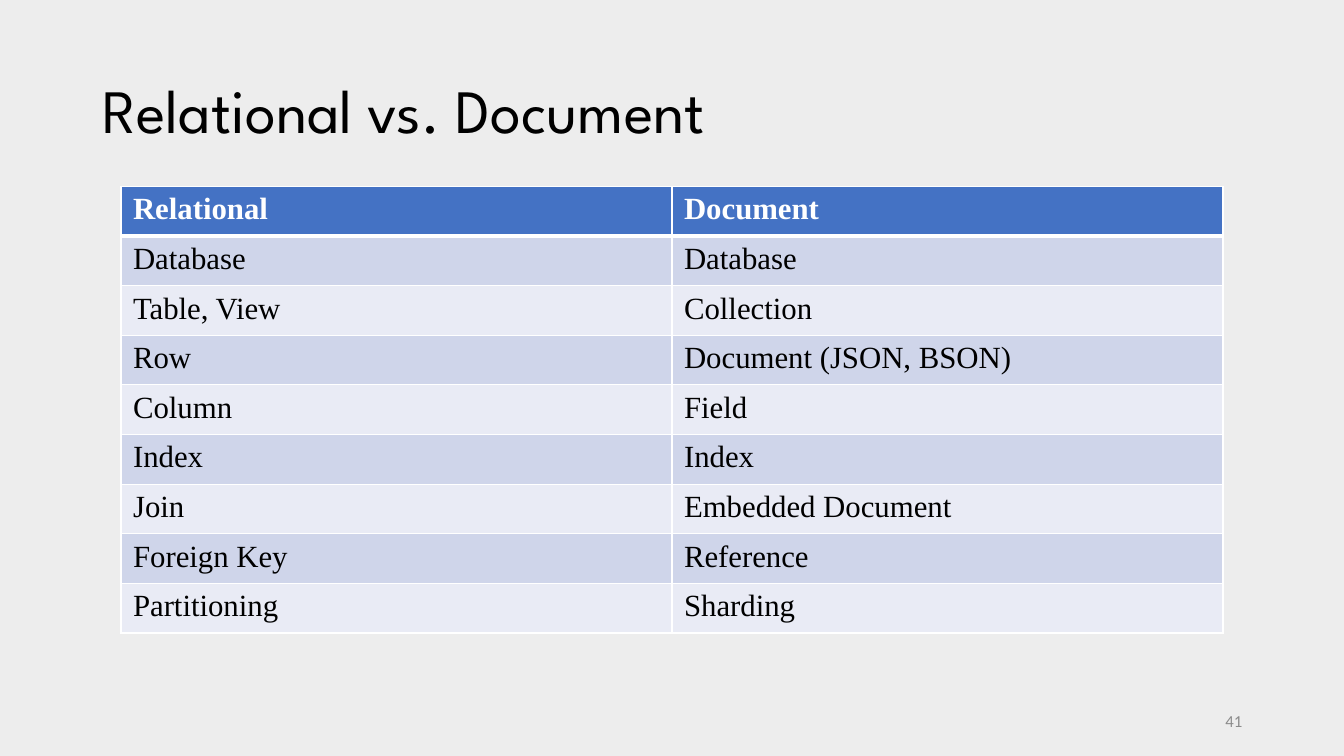
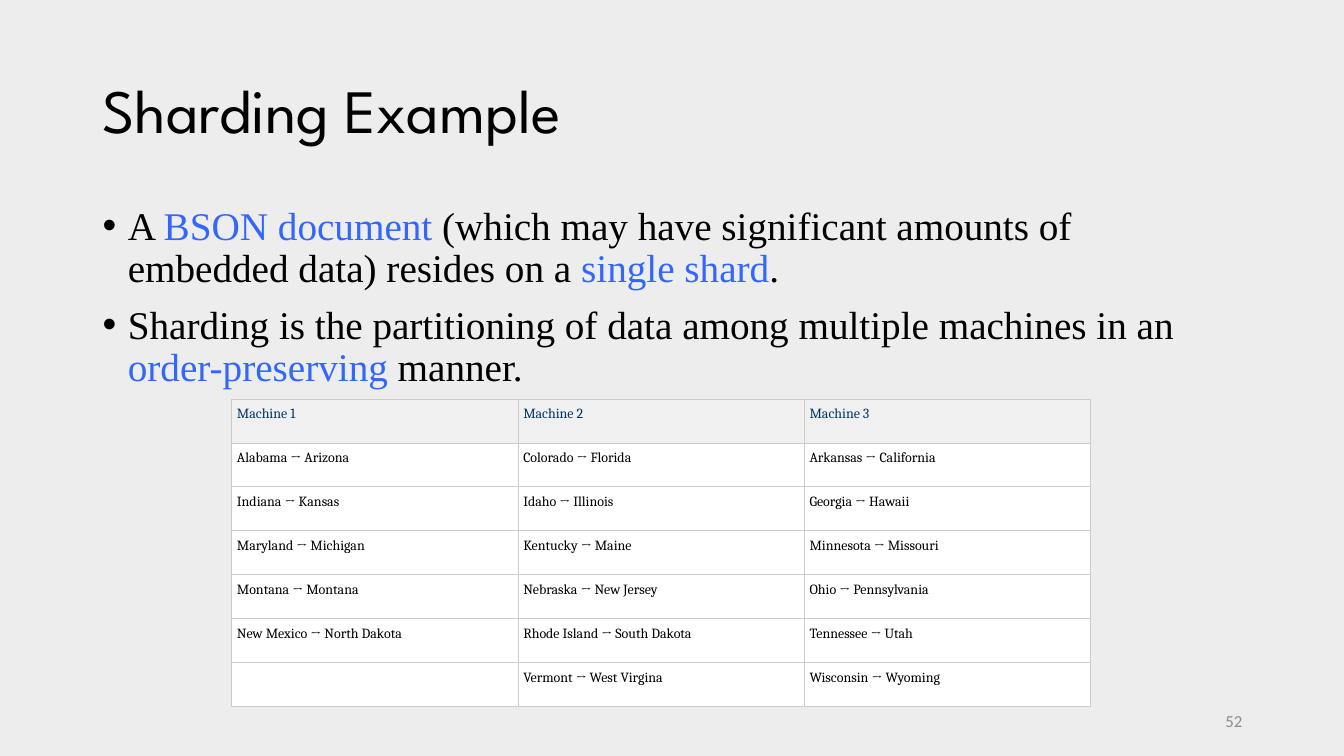
"""Builds two slides that compare data models and show sharding."""
from lxml import etree
from pptx import Presentation
from pptx.dml.color import RGBColor
from pptx.enum.text import MSO_ANCHOR, PP_ALIGN
from pptx.oxml.ns import qn
from pptx.util import Inches, Pt

MIDDLE = MSO_ANCHOR.MIDDLE
TOP = MSO_ANCHOR.TOP
RIGHT = PP_ALIGN.RIGHT

TITLE_FONT = "League Spartan"
BODY_FONT = "Times New Roman"
NUMBER_FONT = "Calibri"
SHARD_FONT = "Cambria"

BACKGROUND = "EDEDED"
BLACK = "000000"
WHITE = "FFFFFF"
GREY = "8C8C8C"
HIGHLIGHT = "3366FF"

MODEL_STYLE = {
    "font": BODY_FONT, "size": 22, "bold_header": True, "line_spacing": None,
    "insets": (0.12, 0.06), "header_text": WHITE, "header_fill": "4472C4",
    "body_fills": ("CFD5EA", "E9EBF5"),
    "border": WHITE, "border_width": 1, "header_rule": 3,
}
SHARD_STYLE = {
    "font": SHARD_FONT, "size": 10, "bold_header": False, "line_spacing": Pt(13),
    "insets": (0.05, 0.05), "header_text": "003366", "header_fill": "F0F0F0",
    "body_fills": (WHITE,),
    "border": "CCCCCC", "border_width": 0.75, "header_rule": 0.75,
}

MODEL_ROWS = [
    ("Relational", "Document"),
    ("Database", "Database"),
    ("Table, View", "Collection"),
    ("Row", "Document (JSON, BSON)"),
    ("Column", "Field"),
    ("Index", "Index"),
    ("Join", "Embedded Document"),
    ("Foreign Key", "Reference"),
    ("Partitioning", "Sharding"),
]
SHARD_ROWS = [
    ("Machine 1", "Machine 2", "Machine 3"),
    ("Alabama → Arizona", "Colorado → Florida", "Arkansas → California"),
    ("Indiana → Kansas", "Idaho → Illinois", "Georgia → Hawaii"),
    ("Maryland → Michigan", "Kentucky → Maine", "Minnesota → Missouri"),
    ("Montana → Montana", "Nebraska → New Jersey", "Ohio → Pennsylvania"),
    ("New Mexico → North Dakota", "Rhode Island → South Dakota", "Tennessee → Utah"),
    ("", "Vermont → West Virgina", "Wisconsin → Wyoming"),
]
SHARD_POINTS = [
    [("A ", BLACK), ("BSON document ", HIGHLIGHT),
     ("(which may have significant amounts of embedded data) resides on a ", BLACK),
     ("single shard", HIGHLIGHT), (".", BLACK)],
    [("Sharding is the partitioning of data among multiple machines in an ", BLACK),
     ("order-preserving", HIGHLIGHT), (" manner.", BLACK)],
]


def color(value):
    """Turn a hex string into a colour."""
    return RGBColor.from_string(value)


def style_font(font, name, size, value, bold=False):
    """Set the face, size, colour and weight of a font."""
    font.name = name
    font.size = Pt(size)
    font.color.rgb = color(value)
    font.bold = bold


def add_box(page, left, top, width, height, anchor):
    """Add a wrapping text box and return its frame."""
    box = page.shapes.add_textbox(Inches(left), Inches(top), Inches(width), Inches(height))
    frame = box.text_frame
    frame.word_wrap = True
    frame.vertical_anchor = anchor
    return frame


def add_page(deck, title, number):
    """Add a slide with its background, title and slide number."""
    page = deck.slides.add_slide(deck.slide_layouts[6])
    page.background.fill.solid()
    page.background.fill.fore_color.rgb = color(BACKGROUND)

    title_frame = add_box(page, 0.92, 0.4, 11.5, 1.45, MIDDLE)
    title_frame.text = title
    heading = title_frame.paragraphs[0]
    heading.line_spacing = 0.9
    style_font(heading.runs[0].font, TITLE_FONT, 44, BLACK)

    number_frame = add_box(page, 9.42, 6.95, 3, 0.4, MIDDLE)
    number_frame.text = str(number)
    para = number_frame.paragraphs[0]
    para.alignment = RIGHT
    style_font(para.runs[0].font, NUMBER_FONT, 12, GREY)
    return page


def add_bullets(page, points):
    """Add the bulleted body text with its coloured spans."""
    frame = add_box(page, 0.92, 2, 11.5, 4.76, TOP)
    for index, spans in enumerate(points):
        para = frame.add_paragraph() if index else frame.paragraphs[0]
        para.line_spacing = 0.9
        if index:
            para.space_before = Pt(10)
        properties = para._p.get_or_add_pPr()
        properties.set("marL", str(Inches(0.25)))
        properties.set("indent", str(-Inches(0.25)))
        etree.SubElement(properties, qn("a:buFont"), typeface="Arial")
        etree.SubElement(properties, qn("a:buChar"), char="•")
        for text, value in spans:
            span = para.add_run()
            span.text = text
            style_font(span.font, BODY_FONT, 28, value)


def set_borders(cell, value, widths):
    """Draw the left, right, top and bottom borders of a cell."""
    properties = cell._tc.get_or_add_tcPr()
    for side, width in zip("LRTB", widths):
        line = etree.SubElement(properties, qn(f"a:ln{side}"), w=str(Pt(width)))
        fill = etree.SubElement(line, qn("a:solidFill"))
        etree.SubElement(fill, qn("a:srgbClr"), val=value)


def fill_cell(cell, text, row, style):
    """Write and format one table cell."""
    header = row == 0
    thin, rule = style["border_width"], style["header_rule"]
    set_borders(cell, style["border"],
                (thin, thin, rule if row == 1 else thin, rule if header else thin))
    fills = style["body_fills"]
    cell.fill.solid()
    cell.fill.fore_color.rgb = color(
        style["header_fill"] if header else fills[(row - 1) % len(fills)])
    side, edge = style["insets"]
    cell.margin_left = cell.margin_right = Inches(side)
    cell.margin_top = cell.margin_bottom = Inches(edge)
    cell.text_frame.text = text
    para = cell.text_frame.paragraphs[0]
    para.line_spacing = style["line_spacing"]
    for span in para.runs:
        style_font(span.font, style["font"], style["size"],
                   style["header_text"] if header else BLACK,
                   header and style["bold_header"])


def add_grid(page, rows, left, top, width, height, style):
    """Add a table with equal columns and rows."""
    table = page.shapes.add_table(len(rows), len(rows[0]), Inches(left), Inches(top),
                                  Inches(width), Inches(height)).table
    for row, texts in enumerate(rows):
        for column, text in enumerate(texts):
            fill_cell(table.cell(row, column), text, row, style)


def main():
    """Build the deck and save it."""
    deck = Presentation()
    deck.slide_width = Inches(13.33)
    deck.slide_height = Inches(7.5)

    page = add_page(deck, "Relational vs. Document", 41)
    add_grid(page, MODEL_ROWS, 1.2, 1.85, 10.93, 4.43, MODEL_STYLE)

    page = add_page(deck, "Sharding Example", 52)
    add_bullets(page, SHARD_POINTS)
    add_grid(page, SHARD_ROWS, 2.3, 3.96, 8.52, 3.05, SHARD_STYLE)

    deck.save("out.pptx")


if __name__ == "__main__":
    main()
